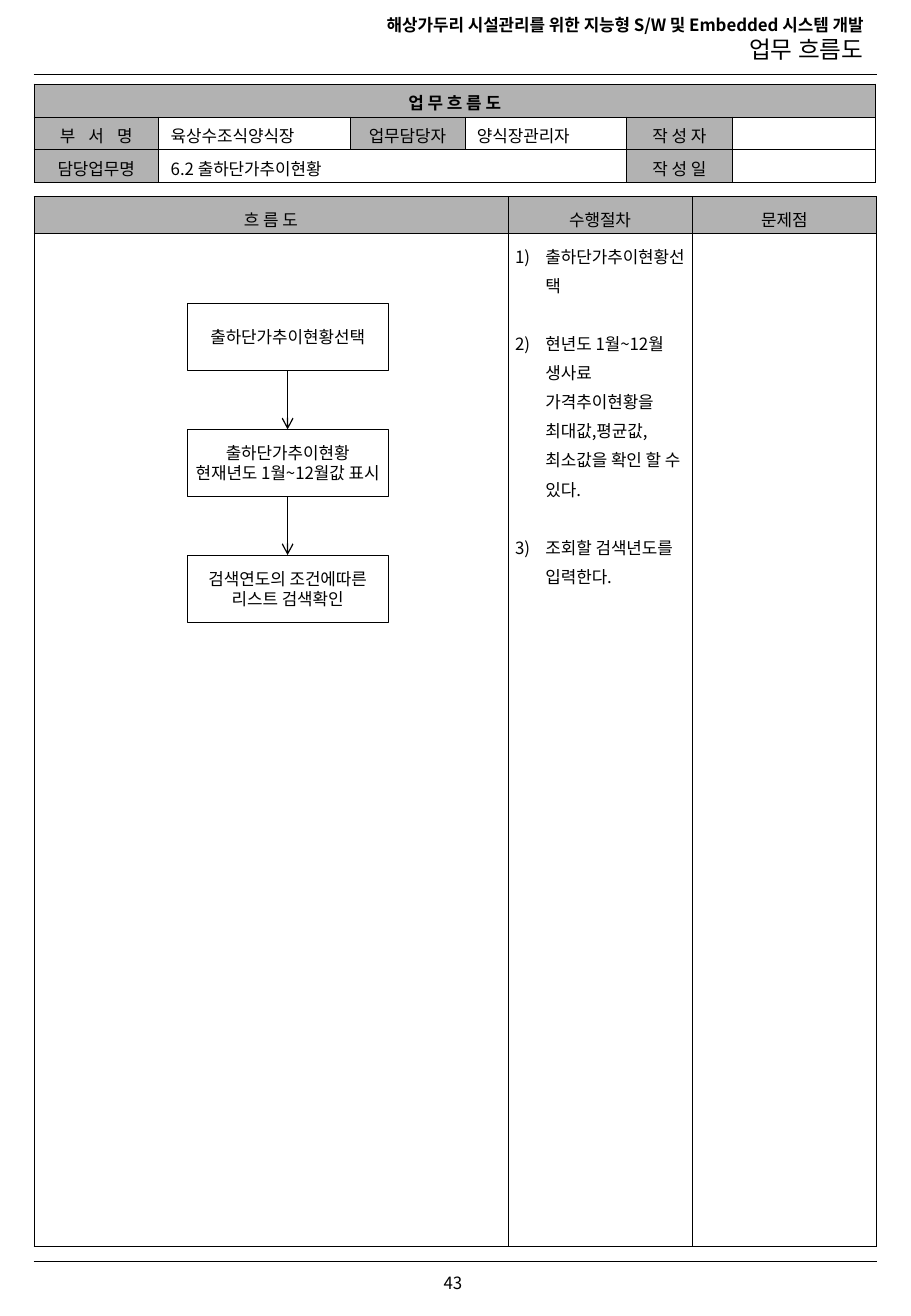
from lxml.etree import SubElement
from pptx import Presentation
from pptx.dml.color import RGBColor
from pptx.enum.shapes import MSO_CONNECTOR, MSO_SHAPE
from pptx.enum.text import MSO_ANCHOR, MSO_AUTO_SIZE, PP_ALIGN
from pptx.oxml import parse_xml
from pptx.oxml.ns import nsdecls, qn
from pptx.util import Pt

BLACK = RGBColor(0x00, 0x00, 0x00)
GRAY = RGBColor(0xB2, 0xB2, 0xB2)
FONT = "Noto Sans CJK KR"
LEFT, RIGHT = 20, 520
BOX_LEFT, BOX_TOP, BOX_WIDTH, BOX_HEIGHT, BOX_PITCH = 111, 180, 119, 39.6, 74.5


def write(para, text, size=10, bold=False, align=PP_ALIGN.LEFT, before=0, line=None, tracking=0, numbered=False):
    para.alignment = align
    para.space_before = Pt(before)
    para.line_spacing = line
    if numbered:
        properties = para._p.get_or_add_pPr()
        properties.set("marL", str(Pt(18)))
        properties.set("indent", str(Pt(-18)))
        SubElement(properties, qn("a:buFont"), typeface=FONT)
        SubElement(properties, qn("a:buAutoNum"), type="arabicParenR")
    span = para.add_run()
    span.text = text
    span.font.name = FONT
    span.font.size = Pt(size)
    span.font.bold = bold
    span.font.color.rgb = BLACK
    SubElement(span._r.get_or_add_rPr(), qn("a:ea"), typeface=FONT)
    if tracking:
        span._r.get_or_add_rPr().set("spc", str(tracking))


def add_grid(page, top, widths, heights, side_margin):
    frame = page.shapes.add_table(len(heights), len(widths), Pt(LEFT), Pt(top), Pt(sum(widths)), Pt(sum(heights)))
    grid = frame.table
    grid.first_row = grid.horz_banding = False
    for column, width in zip(grid.columns, widths):
        column.width = Pt(width)
    for row, height in zip(grid.rows, heights):
        row.height = Pt(height)
    for cell in grid.iter_cells():
        cell.margin_left = cell.margin_right = Pt(side_margin)
        cell.margin_top = cell.margin_bottom = Pt(3.6)
        cell.fill.background()
        for index, side in enumerate(("lnL", "lnR", "lnT", "lnB")):
            border = parse_xml(
                f'<a:{side} {nsdecls("a")} w="{Pt(0.25)}"><a:solidFill><a:srgbClr val="{BLACK}"/></a:solidFill></a:{side}>'
            )
            cell._tc.get_or_add_tcPr().insert(index, border)
        SubElement(cell.text_frame.paragraphs[0]._p, qn("a:endParaRPr"), sz="1000")
    return grid


deck = Presentation()
deck.slide_width, deck.slide_height = Pt(540), Pt(780)
page = deck.slides.add_slide(deck.slide_layouts[5])

title = page.shapes.title
title.left, title.top, title.width, title.height = Pt(168), Pt(5), Pt(351), Pt(36.7)
heading = title.text_frame
heading.auto_size = MSO_AUTO_SIZE.NONE
heading.vertical_anchor = MSO_ANCHOR.TOP
write(heading.paragraphs[0], "해상가두리 시설관리를 위한 지능형 S/W 및 Embedded 시스템 개발", bold=True, align=PP_ALIGN.RIGHT)
write(heading.add_paragraph(), "업무 흐름도", size=14, align=PP_ALIGN.RIGHT)

number = page.shapes.add_textbox(Pt(240.5), Pt(744.5), Pt(56), Pt(31.5)).text_frame
number.word_wrap = True
number.vertical_anchor = MSO_ANCHOR.MIDDLE
write(number.paragraphs[0], "43", align=PP_ALIGN.CENTER)

summary = add_grid(page, 49.7, [74, 113.5, 68, 96, 62.5, 85], [19.5] * 3, 7.2)
summary.cell(0, 0).merge(summary.cell(0, 5))
summary.cell(2, 1).merge(summary.cell(2, 3))
summary_entries = [
    (0, 0, "업 무 흐 름 도", True),
    (1, 0, "부 서 명", True),
    (1, 1, "육상수조식양식장", False),
    (1, 2, "업무담당자", True),
    (1, 3, "양식장관리자", False),
    (1, 4, "작 성 자", True),
    (2, 0, "담당업무명", True),
    (2, 1, "6.2 출하단가추이현황", False),
    (2, 4, "작 성 일", True),
]
for row, column, text, is_label in summary_entries:
    cell = summary.cell(row, column)
    cell.vertical_anchor = MSO_ANCHOR.MIDDLE
    align = PP_ALIGN.LEFT
    if is_label:
        cell.fill.solid()
        cell.fill.fore_color.rgb = GRAY
        align = PP_ALIGN.CENTER
    tracking = 280 if text == "부 서 명" else 0
    write(cell.text_frame.paragraphs[0], text, bold=row == 0, align=align, before=2, tracking=tracking)

workflow = add_grid(page, 116.3, [281, 109.25, 109.25], [21.6, 600.6], 4.3)
for column, text in enumerate(["흐 름 도", "수행절차", "문제점"]):
    cell = workflow.cell(0, column)
    cell.fill.solid()
    cell.fill.fore_color.rgb = GRAY
    write(cell.text_frame.paragraphs[0], text, align=PP_ALIGN.CENTER, line=1.2)

procedure = workflow.cell(1, 1).text_frame
steps = [
    "출하단가추이현황선택",
    "현년도 1월~12월 생사료 가격추이현황을 최대값,평균값,최소값을 확인 할 수 있다.",
    "조회할 검색년도를 입력한다.",
]
for index, text in enumerate(steps):
    para = procedure.add_paragraph() if index else procedure.paragraphs[0]
    write(para, text, before=17.3 if index else 0, line=1.2, numbered=True)

flow_labels = [
    ["출하단가추이현황선택"],
    ["출하단가추이현황", "현재년도 1월~12월값 표시"],
    ["검색연도의 조건에따른", "리스트 검색확인"],
]
boxes = []
for index, lines in enumerate(flow_labels):
    box = page.shapes.add_shape(
        MSO_SHAPE.FLOWCHART_PROCESS, Pt(BOX_LEFT), Pt(BOX_TOP + index * BOX_PITCH), Pt(BOX_WIDTH), Pt(BOX_HEIGHT)
    )
    box.shadow.inherit = False
    box.fill.background()
    box.line.color.rgb = BLACK
    box.line.width = Pt(0.25)
    label = box.text_frame
    label.word_wrap = False
    label.vertical_anchor = MSO_ANCHOR.MIDDLE
    for line_index, text in enumerate(lines):
        para = label.add_paragraph() if line_index else label.paragraphs[0]
        write(para, text, align=PP_ALIGN.CENTER)
    boxes.append(box)

rules = [page.shapes.add_connector(MSO_CONNECTOR.STRAIGHT, Pt(LEFT), Pt(y), Pt(RIGHT), Pt(y)) for y in (44, 747.3)]
arrows = []
for upper, lower in zip(boxes, boxes[1:]):
    arrow = page.shapes.add_connector(MSO_CONNECTOR.STRAIGHT, 0, 0, 0, 0)
    arrow.begin_connect(upper, 2)
    arrow.end_connect(lower, 0)
    arrows.append(arrow)

for connector in rules + arrows:
    connector.line.color.rgb = BLACK
    connector.line.width = Pt(0.75 if connector in arrows else 0.25)
    if connector in arrows:
        SubElement(connector.line._get_or_add_ln(), qn("a:tailEnd"), type="arrow")
    SubElement(connector._element.spPr, qn("a:effectLst"))

deck.save("out.pptx")
